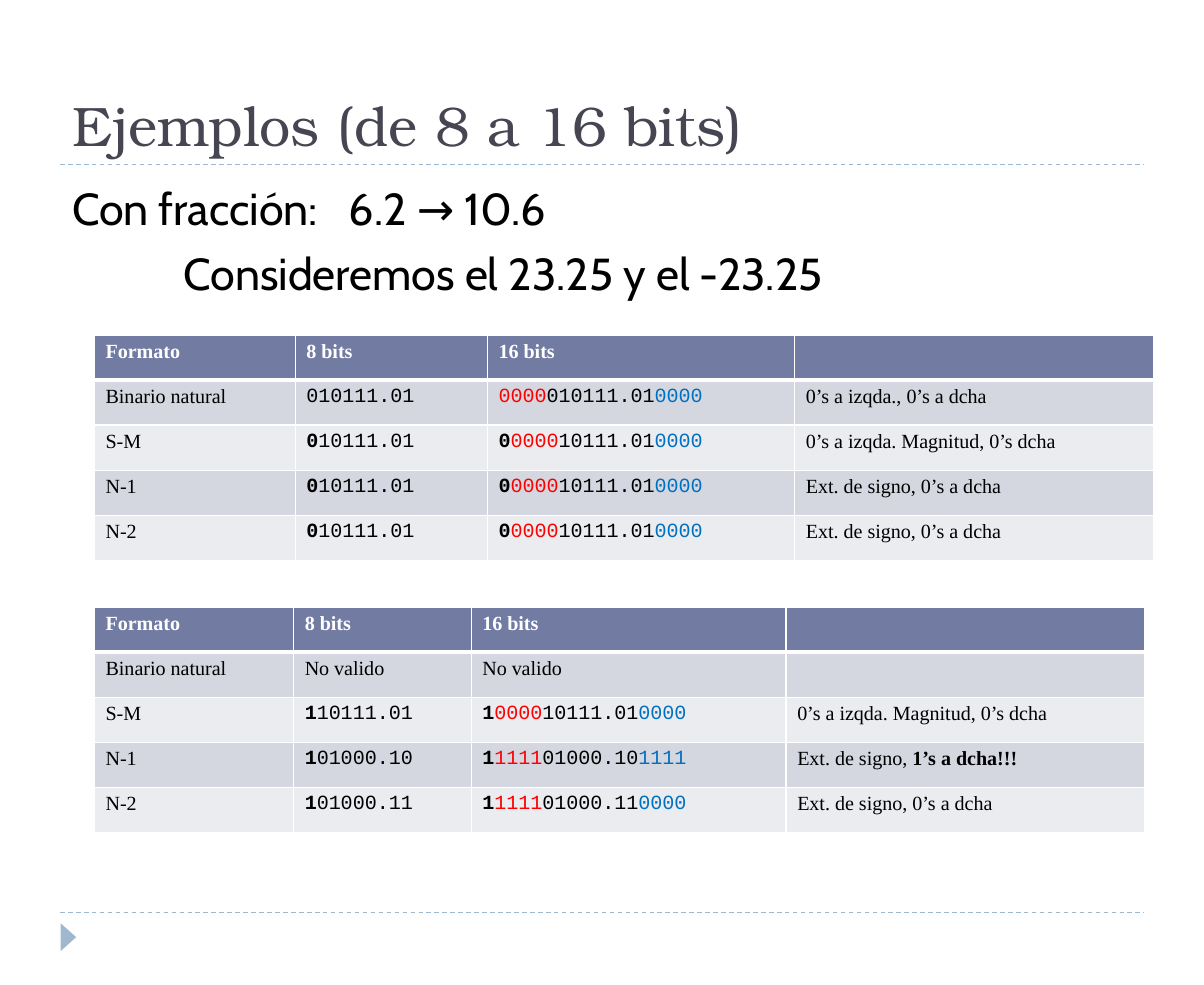
from lxml.etree import SubElement as Sub
from pptx import Presentation
from pptx.dml.color import RGBColor as RGB
from pptx.enum.dml import MSO_LINE as Dash
from pptx.enum.shapes import MSO_CONNECTOR as Conn, MSO_SHAPE as Shape
from pptx.enum.text import MSO_ANCHOR as Anchor
from pptx.oxml.ns import qn
from pptx.util import Pt

HUES = {"title": "464653", "rule": "9FB8CD", "head": "727CA3", "odd": "D5D7E0",
        "even": "EBECF0", "text": "000000", "white": "FFFFFF",
        "left": "FF0000", "right": "0070C0"}
SERIF, MONO, SANS, BOOK = "Times New Roman", "Courier New", "Cabin", "TeX Gyre Bonum"
HEADS = ("Formato", "8 bits", "16 bits", "")
PAD_L, PAD_R = "0000", "0000"
SM_NOTE, EXT_NOTE = "0’s a izqda. Magnitud, 0’s dcha", "Ext. de signo, 0’s a dcha"
PLUS = [
    ("Binario natural", "", "010111.01", PAD_L, PAD_R, "0’s a izqda., 0’s a dcha", ""),
    ("S-M", "0", "10111.01", PAD_L, PAD_R, SM_NOTE, ""),
    ("N-1", "0", "10111.01", PAD_L, PAD_R, EXT_NOTE, ""),
    ("N-2", "0", "10111.01", PAD_L, PAD_R, EXT_NOTE, ""),
]
MINUS = [
    ("Binario natural", "", "No valido", "", "", "", ""),
    ("S-M", "1", "10111.01", PAD_L, PAD_R, SM_NOTE, ""),
    ("N-1", "1", "01000.10", "1111", "1111", "Ext. de signo, ", "1’s a dcha!!!"),
    ("N-2", "1", "01000.11", "1111", PAD_R, EXT_NOTE, ""),
]


def write(para, text, font=SERIF, size=13, hue="text", bold=False):
    """Add one formatted run to a paragraph."""
    if text:
        run = para.add_run()
        run.text = text
        run.font.name, run.font.size, run.font.bold = font, Pt(size), bold
        run.font.color.rgb = RGB.from_string(HUES[hue])


def frame(slide, x, y, w, h, anchor=Anchor.TOP):
    """Add a wrapping text box and return its text frame."""
    text = slide.shapes.add_textbox(Pt(x), Pt(y), Pt(w), Pt(h)).text_frame
    text.word_wrap, text.vertical_anchor = True, anchor
    text.margin_left = text.margin_right = Pt(7.9)
    text.margin_top = text.margin_bottom = Pt(4.3)
    return text


def rule(slide, x, y, w):
    """Draw a dashed horizontal line."""
    line = slide.shapes.add_connector(Conn.STRAIGHT, Pt(x), Pt(y), Pt(x + w), Pt(y))
    line.line.color.rgb = RGB.from_string(HUES["rule"])
    line.line.width, line.line.dash_style = Pt(0.75), Dash.DASH
    Sub(line._element.spPr, qn("a:effectLst"))


def title(slide, x, y, w, h):
    """Place the title above its rule."""
    text = frame(slide, x, y, w, h, Anchor.BOTTOM)
    write(text.paragraphs[0], "Ejemplos (de 8 a 16 bits)", BOOK, 36, "title")
    rule(slide, x, y + h, w)


def intro(slide, x, y, w, h):
    """Place the two introductory lines with their tab stops."""
    text = frame(slide, x, y, w, h)
    lines = (("Con fracción:\t6.2 → 10.6", 179), ("\tConsideremos el 23.25 y el -23.25", 72))
    for n, (line, stop) in enumerate(lines):
        para = text.add_paragraph() if n else text.paragraphs[0]
        para.space_before = Pt(6.8)
        tabs = Sub(para._p.get_or_add_pPr(), qn("a:tabLst"))
        Sub(tabs, qn("a:tab"), pos=str(Pt(stop)), algn="l")
        write(para, line, SANS, 29)


def edge(cell, row):
    """Give a cell white borders, thick below the header."""
    thick = {"T": row == 1, "B": row == 0}
    for side in "LRTB":
        width = Pt(3 if thick.get(side) else 1)
        line = Sub(cell._tc.get_or_add_tcPr(), qn("a:ln" + side), w=str(width))
        Sub(Sub(line, qn("a:solidFill")), qn("a:srgbClr"), val=HUES["white"])


def runs(row):
    """Turn a number row into four lists of formatted runs."""
    name, sign, body, left, right, note, loud = row
    font = MONO if body[0].isdigit() else SERIF
    first, rest = (sign, dict(font=font, bold=True)), (body, dict(font=font))
    wide = [first, (left, dict(font=font, hue="left")), rest,
            (right, dict(font=font, hue="right"))]
    return [[(name, {})], [first, rest], wide, [(note, {}), (loud, dict(bold=True))]]


def table(slide, x, y, cols, high, rows):
    """Place one table of formats, header first."""
    cells = [[[(head, dict(hue="white", bold=True))] for head in HEADS]]
    cells += [runs(row) for row in rows]
    grid = slide.shapes.add_table(len(cells), len(cols), Pt(x), Pt(y),
                                  Pt(sum(cols)), Pt(high * len(cells))).table
    for col, wide in zip(grid.columns, cols):
        col.width = Pt(wide)
    for r, line in enumerate(cells):
        grid.rows[r].height = Pt(high)
        for c, parts in enumerate(line):
            cell = grid.cell(r, c)
            edge(cell, r)
            cell.fill.solid()
            tone = "head" if r == 0 else "odd" if r % 2 else "even"
            cell.fill.fore_color.rgb = RGB.from_string(HUES[tone])
            for text, look in parts:
                write(cell.text_frame.paragraphs[0], text, **look)


def foot(slide, x, y, w):
    """Draw the bottom rule and its marker."""
    rule(slide, x, y, w)
    mark = slide.shapes.add_shape(Shape.ISOSCELES_TRIANGLE, Pt(x - 3.6), Pt(y + 10.8),
                                  Pt(18), Pt(10.1))
    mark.rotation, mark.shadow.inherit = 90, False
    mark.fill.solid()
    mark.fill.fore_color.rgb = RGB.from_string(HUES["rule"])
    mark.line.fill.background()


def main():
    """Build and save the slide."""
    deck = Presentation()
    deck.slide_width, deck.slide_height = Pt(779.76), Pt(637.92)
    slide = deck.slides.add_slide(deck.slide_layouts[6])
    x, w = 38.9, 702
    foot(slide, x, 591.1, w)
    title(slide, x, 14.4, w, 92.2)
    intro(slide, x, 113, w, 96)
    table(slide, 61.2, 216.9, (130, 124.5, 199, 232.5), 29.2, PLUS)
    table(slide, 61.2, 393.1, (129, 115, 204, 232), 29.2, MINUS)
    deck.save("out.pptx")


if __name__ == "__main__":
    main()
